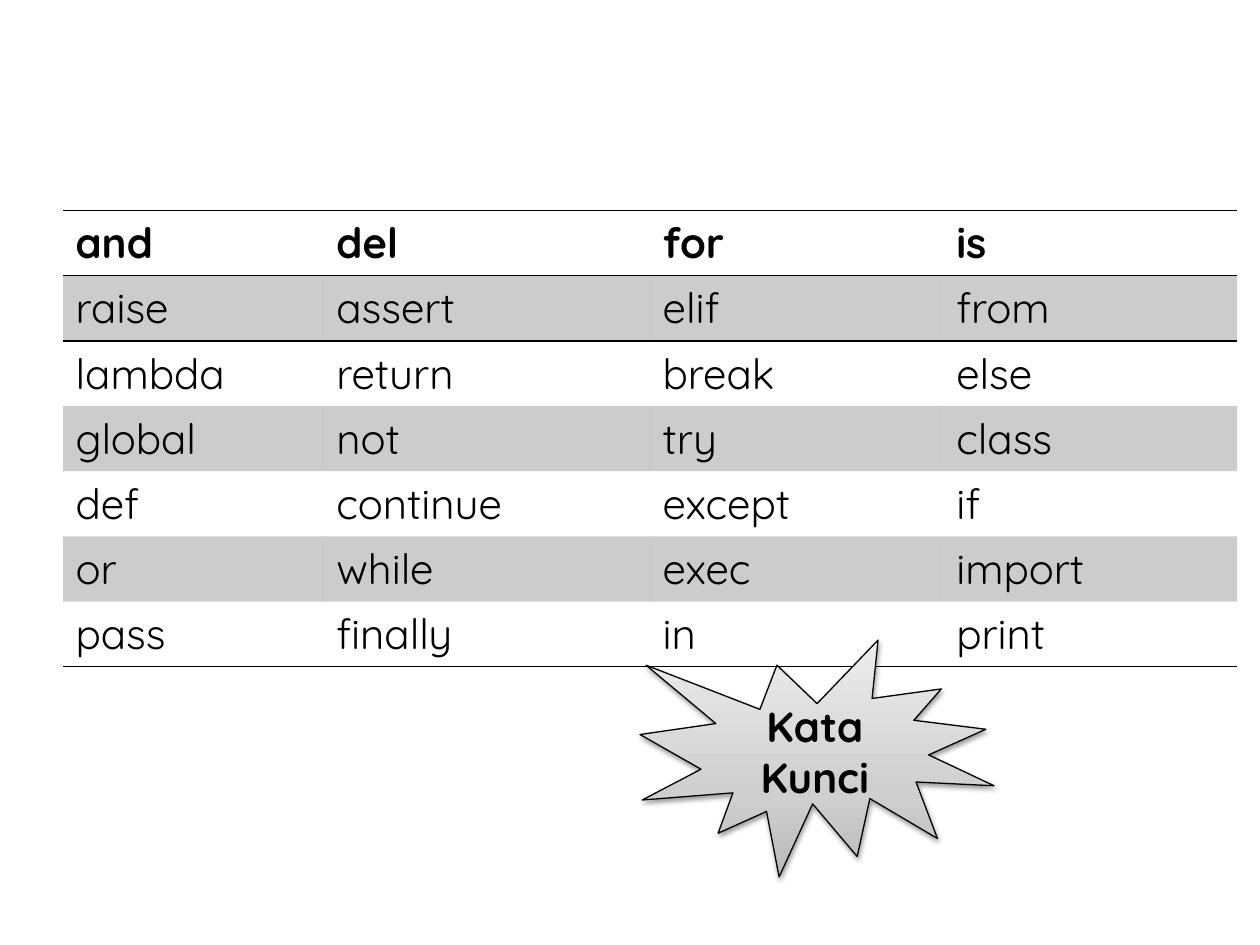
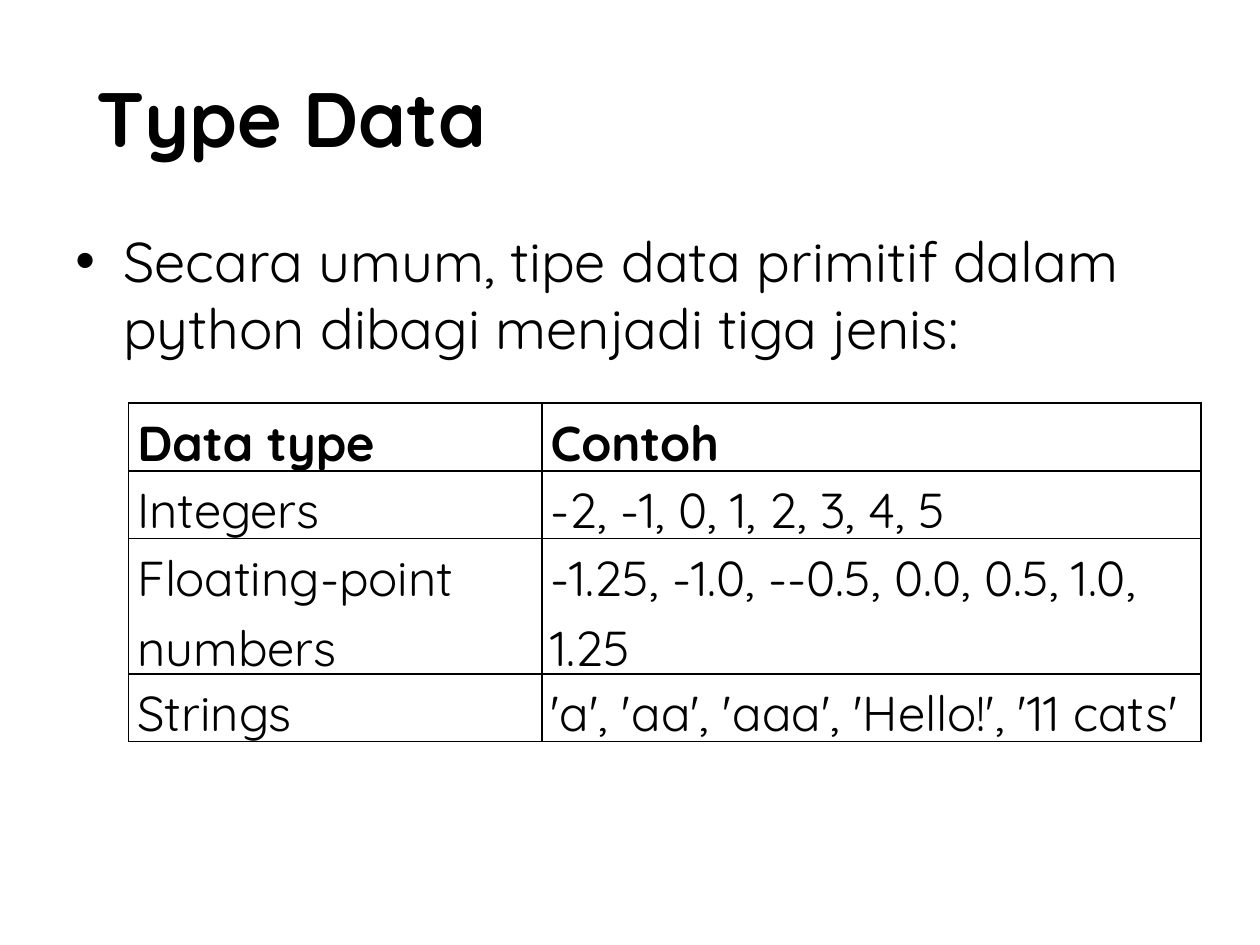
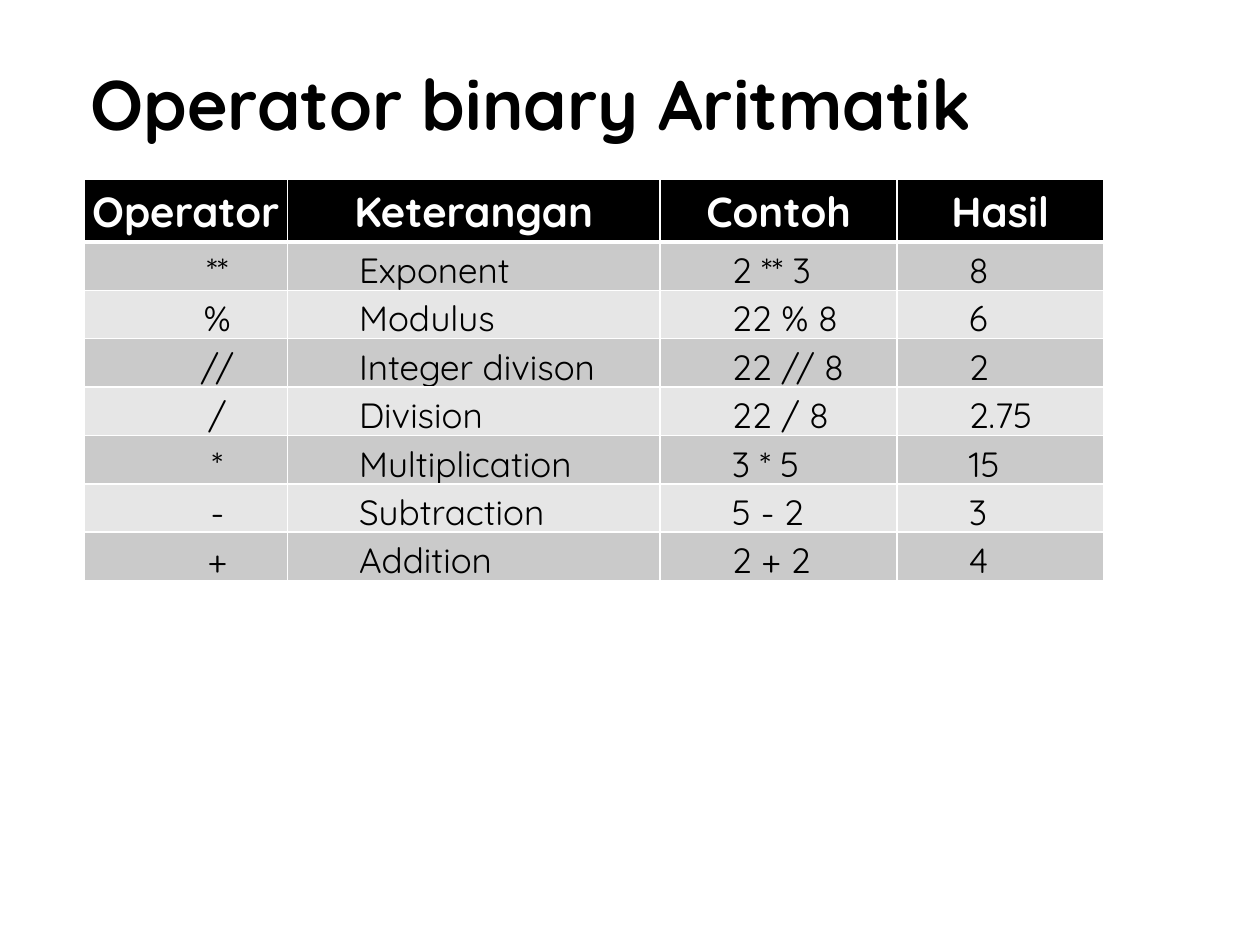
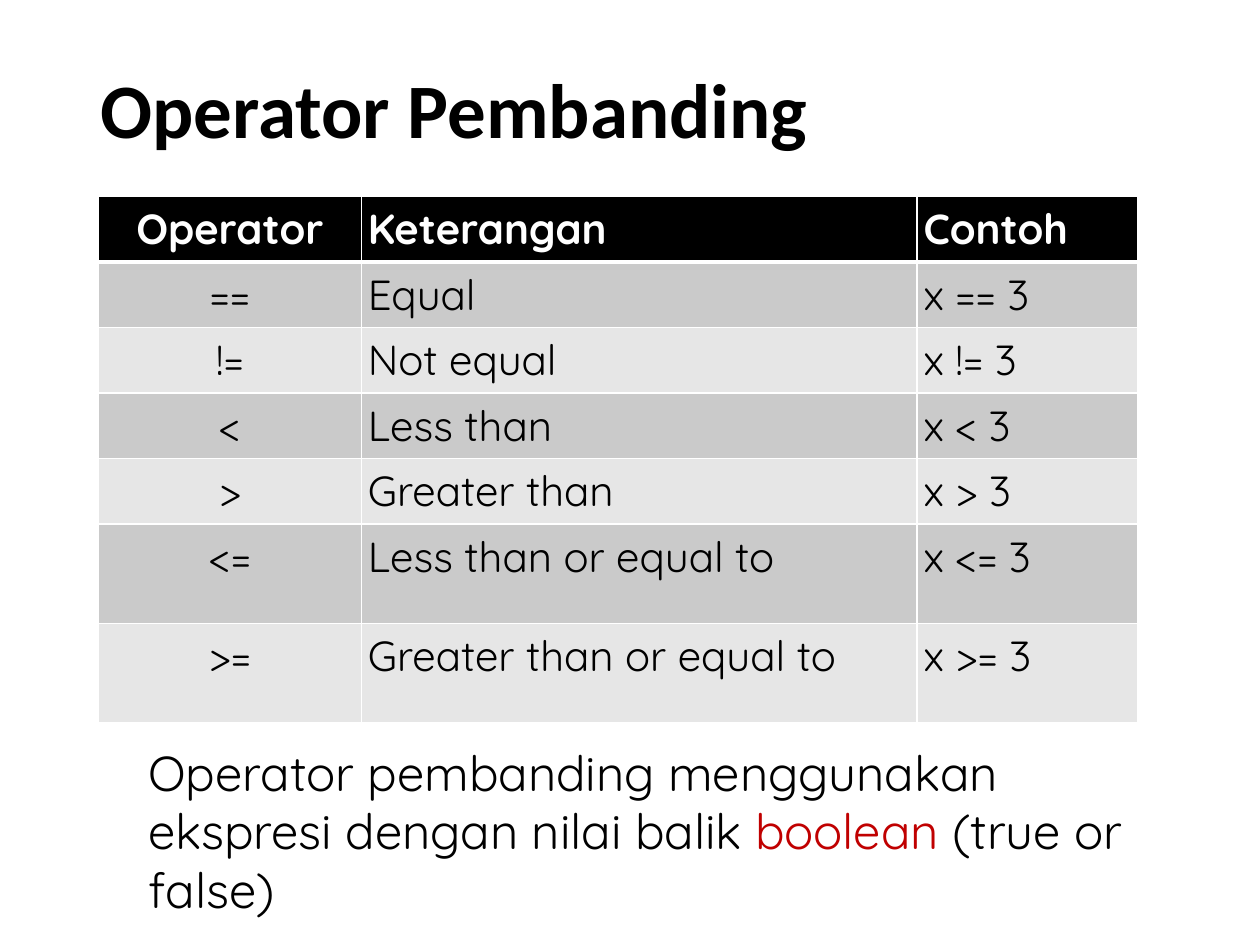
from copy import deepcopy
from dataclasses import dataclass

from lxml import etree
from pptx import Presentation
from pptx.dml.color import RGBColor
from pptx.enum.shapes import MSO_SHAPE
from pptx.enum.text import MSO_ANCHOR, PP_ALIGN
from pptx.oxml.ns import qn
from pptx.util import Inches, Pt

BLACK, WHITE, RED = "000000", "FFFFFF", "C00000"
DARK_BAND, LIGHT_BAND = "CACACA", "E6E6E6"
SEAL_STOPS = [(0, "BABABA"), (0.35, "CFCFCF"), (1, "EDEDED")]
FONT = "Quicksand"
TITLE_FONT = "Calibri"
PLAIN_TABLE = "{2D5ABB26-0587-4C30-8999-92F81FD0307C}"

KEYWORDS = [
    ("and", "del", "for", "is"),
    ("raise", "assert", "elif", "from"),
    ("lambda", "return", "break", "else"),
    ("global", "not", "try", "class"),
    ("def", "continue", "except", "if"),
    ("or", "while", "exec", "import"),
    ("pass", "finally", "in", "print"),
]
KEYWORD_LABEL = "Kata Kunci"

DATA_TYPES_INTRO = "Secara umum, tipe data primitif dalam python dibagi menjadi tiga jenis:"
DATA_TYPES = [
    ("Data type", "Contoh"),
    ("Integers", "-2, -1, 0, 1, 2, 3, 4, 5"),
    ("Floating-point numbers", "-1.25, -1.0, --0.5, 0.0, 0.5, 1.0, 1.25"),
    ("Strings", "'a', 'aa', 'aaa', 'Hello!', '11 cats'"),
]

ARITHMETIC = [
    ("Operator", "Keterangan", "Contoh", "Hasil"),
    ("**", "Exponent", "2 ** 3", "8"),
    ("%", "Modulus", "22 % 8", "6"),
    ("//", "Integer divison", "22 // 8", "2"),
    ("/", "Division", "22 / 8", "2.75"),
    ("*", "Multiplication", "3 * 5", "15"),
    ("-", "Subtraction", "5 - 2", "3"),
    ("+", "Addition", "2 + 2", "4"),
]

COMPARISON = [
    ("Operator", "Keterangan", "Contoh"),
    ("==", "Equal", "x == 3"),
    ("!=", "Not equal", "x != 3"),
    ("<", "Less than", "x < 3"),
    (">", "Greater than", "x > 3"),
    ("<=", "Less than or equal to", "x <= 3"),
    (">=", "Greater than or equal to", "x >= 3"),
]
COMPARISON_NOTE = [
    ("Operator pembanding menggunakan ekspresi dengan nilai balik ", BLACK),
    ("boolean", RED),
    (" (true or false)", BLACK),
]


@dataclass
class RowStyle:
    """Look of a header row or of the body rows of a table."""
    size: int
    bold: bool = False
    colour: str = BLACK
    insets: tuple = (0.05, 0.05)
    centred: tuple = ()
    indent: float = 0
    spacing: float = 1
    fills: tuple = (None,)
    alpha: int = 100


def rgb(colour):
    return RGBColor.from_string(colour)


def add_child(parent, tag, **attributes):
    child = etree.SubElement(parent, qn(tag))
    for key, value in attributes.items():
        child.set(key, str(value))
    return child


def format_font(font, size, colour=BLACK, bold=False, name=FONT):
    font.name, font.size, font.bold = name, Pt(size), bold
    font.color.rgb = rgb(colour)


def set_indent(paragraph, left, first=0):
    properties = paragraph._p.get_or_add_pPr()
    properties.set("marL", str(Inches(left)))
    properties.set("indent", str(Inches(first)))
    return properties


def add_text(slide, place, runs, size, anchor=MSO_ANCHOR.TOP, bold=False, name=FONT):
    """Add a wrapped text box from (text, colour) runs; return its paragraph."""
    frame = slide.shapes.add_textbox(*map(Inches, place)).text_frame
    frame.word_wrap = True
    frame.vertical_anchor = anchor
    paragraph = frame.paragraphs[0]
    for text, colour in runs:
        run = paragraph.add_run()
        run.text = text
        format_font(run.font, size, colour, bold, name)
    return paragraph


def add_title(slide, text, place, size=44, name=FONT):
    add_text(slide, place, [(text, BLACK)], size, MSO_ANCHOR.MIDDLE, True, name)


def draw_edges(cell, colour, left, right, top, bottom):
    properties = cell._tc.get_or_add_tcPr()
    for side, width in zip("LRTB", (left, right, top, bottom)):
        if width:
            edge = add_child(properties, f"a:ln{side}", w=Pt(width))
            add_child(add_child(edge, "a:solidFill"), "a:srgbClr", val=colour)


def fill_cell(cell, colour, alpha):
    if colour is None:
        cell.fill.background()
        return
    cell.fill.solid()
    cell.fill.fore_color.rgb = rgb(colour)
    if alpha < 100:
        swatch = next(cell._tc.tcPr.find(qn("a:solidFill")).iter(qn("a:srgbClr")))
        add_child(swatch, "a:alpha", val=alpha * 1000)


def add_grid(slide, corner, rows, widths, heights, head, body, edge, rules, sides=1):
    """Add a table; rules holds the line width above each row and below the last."""
    size = sum(widths), sum(heights)
    table = slide.shapes.add_table(len(rows), len(widths), *map(Inches, corner + size)).table
    table.first_row = table.horz_banding = False
    table._tbl.tblPr.find(qn("a:tableStyleId")).text = PLAIN_TABLE
    for column, width in zip(table.columns, widths):
        column.width = Inches(width)
    for r, (row, height) in enumerate(zip(rows, heights)):
        table.rows[r].height = Inches(height)
        style = body if r else head
        across, down = map(Inches, style.insets)
        for c, text in enumerate(row):
            cell = table.cell(r, c)
            cell.margin_left = cell.margin_right = across
            cell.margin_top = cell.margin_bottom = down
            draw_edges(cell, edge, sides, sides, rules[r], rules[r + 1])
            fill_cell(cell, style.fills[(r - 1) % len(style.fills)], style.alpha)
            paragraph = cell.text_frame.paragraphs[0]
            paragraph.text = text
            paragraph.line_spacing = style.spacing
            paragraph.alignment = PP_ALIGN.CENTER if c in style.centred else PP_ALIGN.LEFT
            set_indent(paragraph, style.indent)
            format_font(paragraph.runs[0].font, style.size, style.colour, style.bold)


def add_seal(slide, text, place):
    seal = slide.shapes.add_shape(MSO_SHAPE.EXPLOSION1, *map(Inches, place))
    seal.line.color.rgb = rgb(BLACK)
    seal.line.width = Pt(0.75)
    seal.fill.gradient()
    seal.fill.gradient_angle = 90
    first = seal._element.spPr.find(".//" + qn("a:gs"))
    first.addnext(deepcopy(first))
    for stop, (position, colour) in zip(seal.fill.gradient_stops, SEAL_STOPS):
        stop.position = position
        stop.color.rgb = rgb(colour)
    seal.shadow.inherit = False
    effects = seal._element.spPr.find(qn("a:effectLst"))
    shadow = add_child(effects, "a:outerShdw", blurRad=Pt(3.1), dist=Pt(1.6),
                       dir=90 * 60000, rotWithShape=0)
    add_child(add_child(shadow, "a:srgbClr", val=BLACK), "a:alpha", val=38000)
    frame = seal.text_frame
    frame.word_wrap = True
    frame.vertical_anchor = MSO_ANCHOR.MIDDLE
    frame.text = text
    frame.paragraphs[0].alignment = PP_ALIGN.CENTER
    format_font(frame.paragraphs[0].runs[0].font, 24, bold=True)


def keywords_slide(slide):
    look = dict(size=24, insets=(0.1, 0.05))
    count = len(KEYWORDS)
    add_grid(slide, (0.5, 1.67), KEYWORDS, (2.07, 2.59, 2.33, 2.33), [0.48] * count,
             RowStyle(bold=True, **look), RowStyle(fills=(BLACK, None), alpha=20, **look),
             BLACK, [1, 1] + [0] * (count - 2) + [1], sides=0)
    add_seal(slide, KEYWORD_LABEL, (5.08, 5.08, 2.81, 1.88))


def data_types_slide(slide):
    add_title(slide, "Type Data", (0.67, 0.3, 8.83, 1.25))
    intro = add_text(slide, (0.5, 1.75, 9, 4.95), [(DATA_TYPES_INTRO, BLACK)], 32)
    bullet = set_indent(intro, 0.38, -0.38)
    add_child(bullet, "a:buFont", typeface="Arial")
    add_child(bullet, "a:buChar", char="•")
    look = dict(size=28, insets=(0.07, 0), spacing=1.15)
    count = len(DATA_TYPES)
    add_grid(slide, (1.02, 3.2), DATA_TYPES, (3.28, 5.23), [0.39] * count,
             RowStyle(bold=True, **look), RowStyle(**look), BLACK, [1] * (count + 1))


def operator_grid(slide, corner, rows, widths, heights, head_centred, body):
    """Add a table with a black header and grey bands."""
    head = RowStyle(24, True, WHITE, centred=head_centred, fills=(BLACK,))
    body.fills, body.centred = (DARK_BAND, LIGHT_BAND), (0,)
    add_grid(slide, corner, rows, widths, heights, head, body,
             WHITE, [1, 3] + [1] * (len(rows) - 1))


def arithmetic_slide(slide):
    add_title(slide, "Operator binary Aritmatik", (0.62, 0.3, 8.88, 1.03), 40)
    operator_grid(slide, (0.67, 1.42), ARITHMETIC, (1.61, 2.96, 1.88, 1.64),
                  [0.33] + [0.28] * (len(ARITHMETIC) - 1), range(4),
                  RowStyle(20, insets=(0.07, 0), indent=0.5, spacing=1.15))


def comparison_slide(slide):
    add_title(slide, "Operator Pembanding", (0.7, 0.23, 8.69, 1.25), name=TITLE_FONT)
    note = add_text(slide, (0.7, 5.84, 8.8, 1.49), COMPARISON_NOTE, 28)
    set_indent(note, 0.38)
    operator_grid(slide, (0.78, 1.56), COMPARISON, (2.09, 4.41, 1.75),
                  [0.52] * 5 + [0.79] * 2, (0,), RowStyle(24))


def main():
    deck = Presentation()
    deck.slide_width, deck.slide_height = Inches(10), Inches(7.5)
    blank = deck.slide_layouts[6]
    for build in (keywords_slide, data_types_slide, arithmetic_slide, comparison_slide):
        build(deck.slides.add_slide(blank))
    deck.save("out.pptx")


if __name__ == "__main__":
    main()
